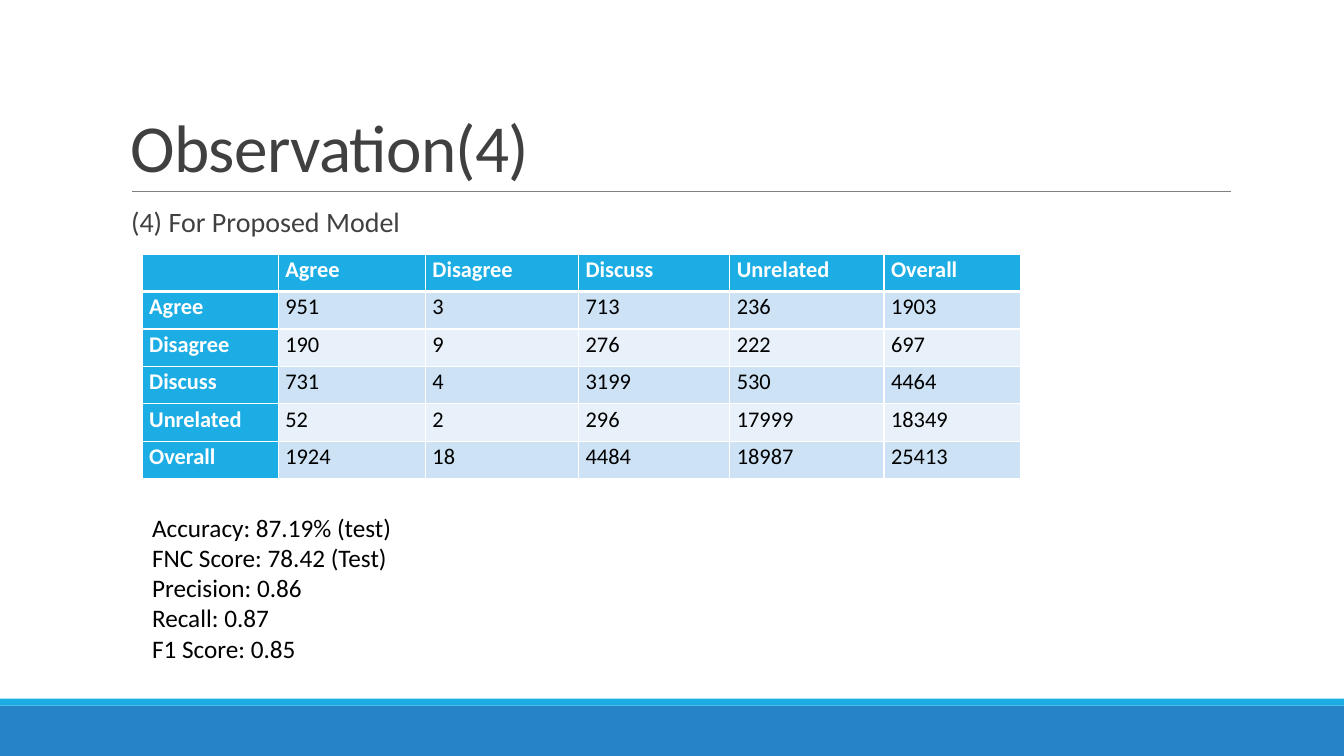
from lxml import etree
from pptx import Presentation
from pptx import util as u
from pptx.dml.color import RGBColor
from pptx.enum import shapes, text
from pptx.oxml import ns

WIDTH, HEIGHT = 13.33, 7.5
CYAN, BLUE, DARK, GREY = "1CADE4", "2683C6", "404040", "808080"
WHITE, BLACK = "FFFFFF", "000000"
BANDS = ("CDE3F5", "E8F1FA")

LABELS = ["Agree", "Disagree", "Discuss", "Unrelated", "Overall"]
COUNTS = [
    [951, 3, 713, 236, 1903],
    [190, 9, 276, 222, 697],
    [731, 4, 3199, 530, 4464],
    [52, 2, 296, 17999, 18349],
    [1924, 18, 4484, 18987, 25413],
]
COLUMN_SHARES = [10.13, 10.95, 11.4, 11.25, 11.48, 10.13]
ROW_SHARE = 4.96
SCORES = [
    "Accuracy: 87.19% (test)",
    "FNC Score: 78.42 (Test)",
    "Precision: 0.86",
    "Recall: 0.87",
    "F1 Score: 0.85",
]


def color(value):
    return RGBColor.from_string(value)


def across(share):
    """Percent of the slide width as a length."""
    return u.Inches(WIDTH * share / 100)


def down(share):
    """Percent of the slide height as a length."""
    return u.Inches(HEIGHT * share / 100)


def area(left, top, width, height):
    return across(left), down(top), across(width), down(height)


def assign(target, values):
    for name, value in values.items():
        setattr(target, name, value)


def add_child(parent, tag, **attributes):
    return etree.SubElement(parent, ns.qn(tag), attributes)


class Page:
    """One slide with its font; all places are percent of the slide."""

    def __init__(self, deck, font="Calibri"):
        self.slide = deck.slides.add_slide(deck.slide_layouts[6])
        self.shapes = self.slide.shapes
        self.font = font

    def add_span(self, para, words, size, ink, bold=False, **layout):
        assign(para, layout)
        span = para.add_run()
        span.text = words
        assign(span.font, {"name": self.font, "size": u.Pt(size), "bold": bold})
        span.font.color.rgb = color(ink)
        return span

    def bar(self, place, fill):
        bar = self.shapes.add_shape(shapes.MSO_SHAPE.RECTANGLE, *area(*place))
        bar.shadow.inherit = False
        bar.fill.solid()
        bar.fill.fore_color.rgb = color(fill)
        bar.line.fill.background()

    def rule(self, left, right, top, ink, weight):
        line = self.shapes.add_connector(
            shapes.MSO_CONNECTOR.STRAIGHT,
            across(left), down(top), across(right), down(top))
        line.line.color.rgb = color(ink)
        line.line.width = u.Pt(weight)
        add_child(line._element.spPr, "a:effectLst")

    def textbox(self, place, lines, size, ink, frame=None, **layout):
        """Add one paragraph per line and return the runs."""
        box = self.shapes.add_textbox(*area(*place)).text_frame
        assign(box, {"word_wrap": True, **(frame or {})})
        spans = []
        for index, words in enumerate(lines):
            para = box.add_paragraph() if index else box.paragraphs[0]
            spans.append(self.add_span(para, words, size, ink, **layout))
        return spans

    def borders(self, cell, top, bottom):
        properties = cell._tc.get_or_add_tcPr()
        for side, weight in zip("LRTB", (1, 1, top, bottom)):
            line = add_child(properties, f"a:ln{side}", w=str(u.Pt(weight)))
            fill = add_child(line, "a:solidFill")
            add_child(fill, "a:srgbClr", val=WHITE)

    def matrix(self, left, top, labels, counts):
        """Table with the labels as heading row and heading column."""
        rows = [["", *labels]]
        rows += [[label, *line] for label, line in zip(labels, counts)]
        table = self.shapes.add_table(
            len(rows), len(rows[0]),
            *area(left, top, sum(COLUMN_SHARES), ROW_SHARE * len(rows))).table
        assign(table, {"first_row": False, "horz_banding": False})
        for column, share in zip(table.columns, COLUMN_SHARES):
            column.width = across(share)
        for r, values in enumerate(rows):
            table.rows[r].height = down(ROW_SHARE)
            for c, value in enumerate(values):
                cell = table.cell(r, c)
                heading = r == 0 or c == 0
                assign(cell, {
                    "margin_left": u.Inches(0.07), "margin_right": u.Inches(0.07),
                    "margin_top": 0, "margin_bottom": 0})
                self.borders(cell, 3 if r == 1 else 1, 3 if r == 0 else 1)
                cell.fill.solid()
                cell.fill.fore_color.rgb = color(
                    CYAN if heading else BANDS[(r - 1) % 2])
                self.add_span(cell.text_frame.paragraphs[0], str(value), 16,
                              WHITE if heading else BLACK, heading,
                              line_spacing=1.07)


def main():
    deck = Presentation()
    assign(deck, {"slide_width": u.Inches(WIDTH), "slide_height": u.Inches(HEIGHT)})
    page = Page(deck)
    page.bar((0, 93.33, 100, 6.67), BLUE)
    page.bar((0, 92.4, 100, 0.93), CYAN)
    page.rule(9.83, 91.6, 25.33, GREY, 0.5)

    title, = page.textbox(
        (9, 4.13, 82.5, 21.2), ["Observation(4)"], 48, DARK,
        {"vertical_anchor": text.MSO_ANCHOR.BOTTOM}, line_spacing=0.85)
    title.font._element.set("spc", "-50")

    page.textbox(
        (9.75, 26.93, 81.75, 58.67), ["(4) For Proposed Model"], 20, DARK,
        {"margin_left": 0, "margin_right": 0}, line_spacing=0.9,
        space_before=u.Pt(12), space_after=u.Pt(2))
    page.matrix(10.58, 33.6, LABELS, COUNTS)
    page.textbox((10.58, 67.07, 44.49, 21.6), SCORES, 18, BLACK)
    deck.save("out.pptx")


if __name__ == "__main__":
    main()
